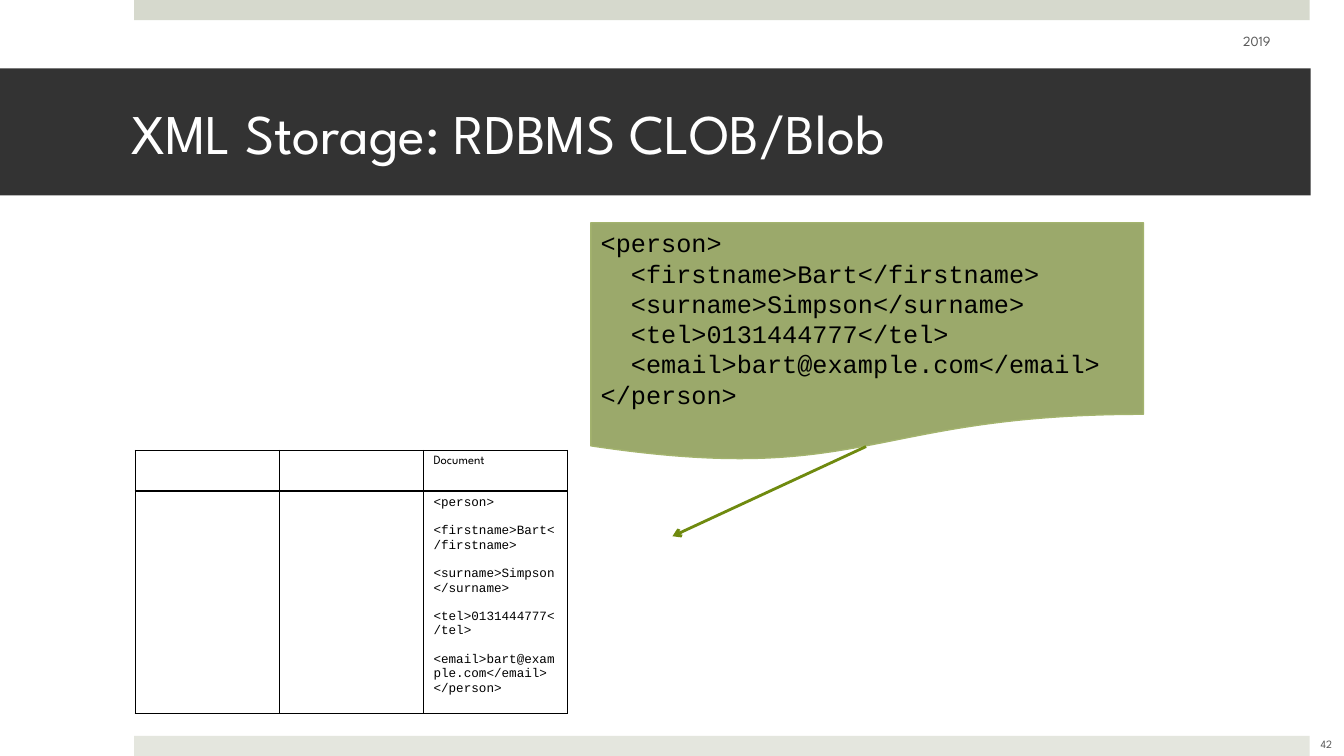
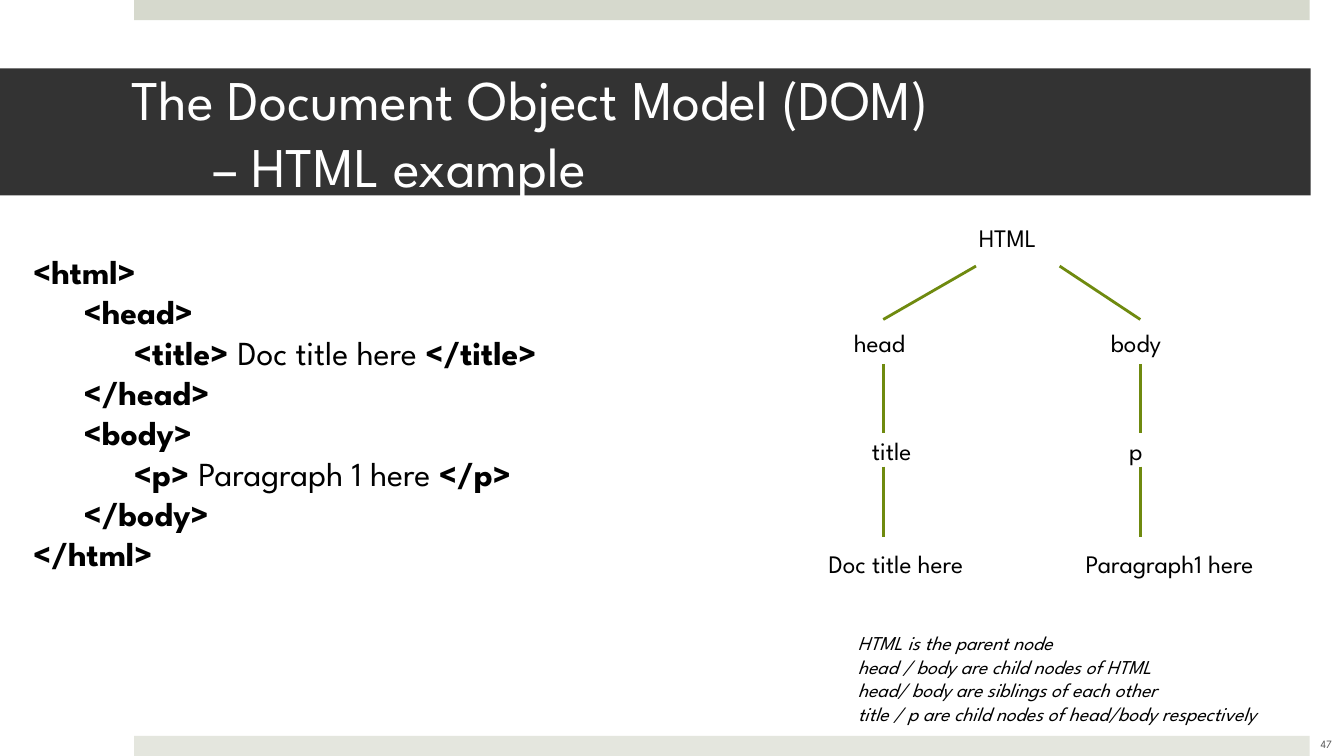
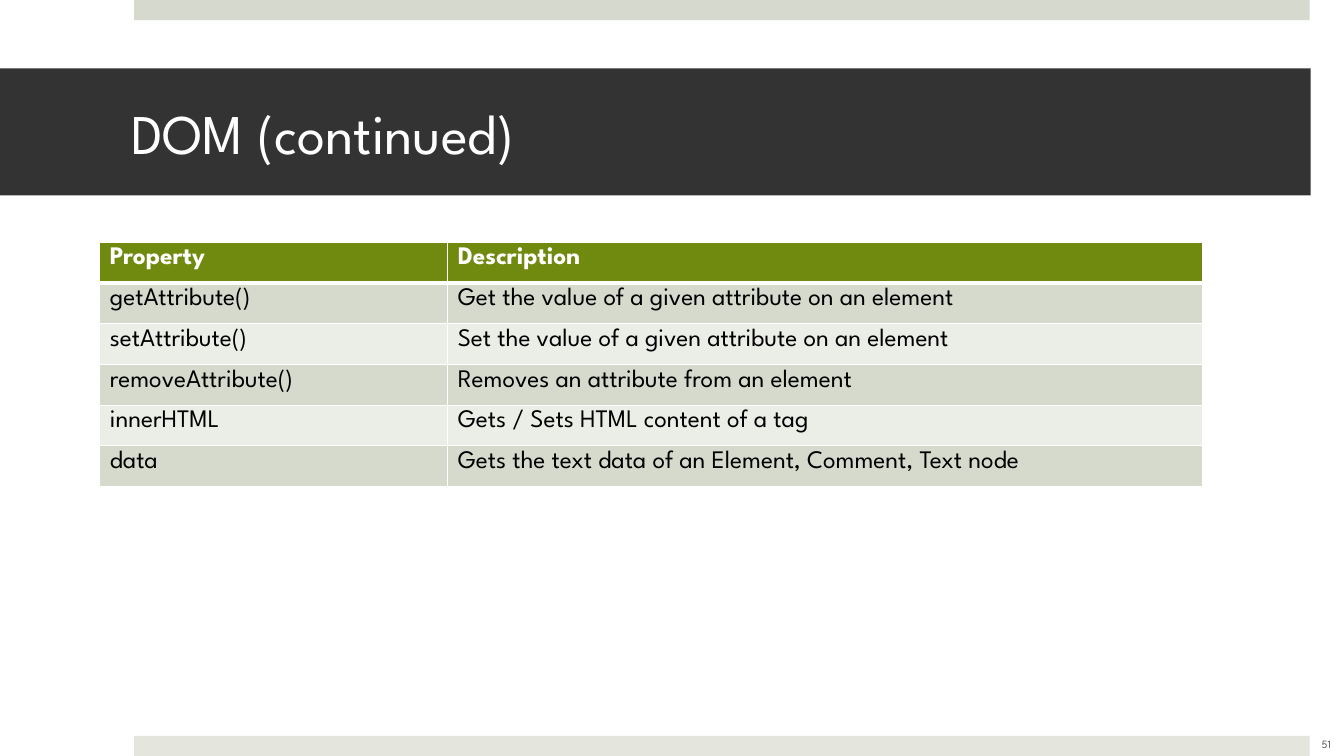
"""Build three lecture slides on XML storage and the Document Object Model."""
from lxml import etree
from pptx import Presentation
from pptx.dml.color import RGBColor
from pptx.enum.shapes import MSO_CONNECTOR, MSO_SHAPE
from pptx.enum.text import MSO_ANCHOR, PP_ALIGN
from pptx.oxml.ns import qn
from pptx.util import Inches, Pt

RECTANGLE, DOCUMENT = MSO_SHAPE.RECTANGLE, MSO_SHAPE.FLOWCHART_DOCUMENT
STRAIGHT = MSO_CONNECTOR.STRAIGHT
MIDDLE = MSO_ANCHOR.MIDDLE
LEFT, CENTER, RIGHT = PP_ALIGN.LEFT, PP_ALIGN.CENTER, PP_ALIGN.RIGHT
SANS, MONO = "League Spartan", "Courier New"
COLORS = {
    "top band": "D6D9CD", "bottom band": "E4E6DE", "title band": "333333",
    "white": "FFFFFF", "ink": "000000", "muted": "595959", "accent": "6F8A0F",
    "document": "9BA96B", "document edge": "A3B36E",
    "odd row": "D5DACC", "even row": "EBEDE7",
}
PALETTE = {part: RGBColor.from_string(code) for part, code in COLORS.items()}


def write(frame, lines, size=18, color="ink", font=SANS, bold=False,
          italic=False, align=LEFT, indents=None):
    """Write lines into a frame; each | in a line switches bold on or off."""
    frame.word_wrap = True
    for number, line in enumerate(lines):
        paragraph = frame.add_paragraph() if number else frame.paragraphs[0]
        paragraph.alignment = align
        if indents:
            margin = Inches(indents[number])
            paragraph._p.get_or_add_pPr().set("marL", str(margin))
        for position, part in enumerate(line.split("|")):
            run = paragraph.add_run()
            run.text = part
            run.font.name = font
            run.font.size = Pt(size)
            run.font.bold = bold != (position % 2 == 1)
            run.font.italic = italic
            run.font.color.rgb = PALETTE[color]


def link(slide, start_x, start_y, end_x, end_y):
    """Draw a straight accent line and return it."""
    line = slide.shapes.add_connector(
        STRAIGHT, Inches(start_x), Inches(start_y), Inches(end_x), Inches(end_y))
    line.line.color.rgb = PALETTE["accent"]
    line.line.width = Pt(2)
    etree.SubElement(line._element.spPr, qn("a:effectLst"))
    return line


deck = Presentation()
deck.slide_width, deck.slide_height = Inches(13.33), Inches(7.5)

headings = [
    (["XML Storage: RDBMS CLOB/Blob"], "42"),
    (["The Document Object Model (DOM)", "– HTML example"], "47"),
    (["DOM (continued)"], "51"),
]
bands = [
    ("top band", 1.33, 0, 11.66, 0.2),
    ("bottom band", 1.33, 7.3, 11.66, 0.2),
    ("title band", 0, 0.68, 13, 1.26),
]
for title, page in headings:
    slide = deck.slides.add_slide(deck.slide_layouts[6])
    for part, *place in bands:
        band = slide.shapes.add_shape(RECTANGLE, *map(Inches, place))
        band.shadow.inherit = False
        band.fill.solid()
        band.fill.fore_color.rgb = PALETTE[part]
        band.line.fill.background()
    heading = band.text_frame
    heading.vertical_anchor = MIDDLE
    heading.margin_left, heading.margin_right = Inches(1.3), Inches(0.3)
    write(heading, title, size=40, color="white", indents=(0, 0.82))
    number = slide.shapes.add_textbox(
        Inches(12.98), Inches(7.18), Inches(0.35), Inches(0.32)).text_frame
    number.margin_left = number.margin_right = 0
    number.margin_top, number.margin_bottom = Inches(0.09), 0
    number.vertical_anchor = MIDDLE
    write(number, [page], size=8, color="muted", align=CENTER)
storage_slide, dom_slide, methods_slide = deck.slides

year = storage_slide.shapes.add_textbox(
    Inches(9.59), Inches(0.21), Inches(3.11), Inches(0.4)).text_frame
year.vertical_anchor = MIDDLE
write(year, ["2019"], size=10, color="muted", align=RIGHT)

person_xml = [
    "<person>",
    "  <firstname>Bart</firstname>",
    "  <surname>Simpson</surname>",
    "  <tel>0131444777</tel>",
    "  <email>bart@example.com</email>",
    "</person>",
]
storage = storage_slide.shapes.add_table(
    2, 3, Inches(1.34), Inches(4.47), Inches(4.29), Inches(2.48)).table
storage.rows[0].height, storage.rows[1].height = Inches(0.4), Inches(2.08)
for cell in storage.iter_cells():
    cell.fill.background()
write(storage.cell(0, 2).text_frame, ["Document"], size=9)
write(storage.cell(1, 2).text_frame, person_xml, size=9, font=MONO)

document = storage_slide.shapes.add_shape(
    DOCUMENT, Inches(5.86), Inches(2.21), Inches(5.48), Inches(2.37))
document.shadow.inherit = False
document.fill.solid()
document.fill.fore_color.rgb = PALETTE["document"]
document.line.color.rgb = PALETTE["document edge"]
document.line.width = Pt(1)
document.text_frame.vertical_anchor = MSO_ANCHOR.TOP
write(document.text_frame, person_xml, font=MONO)
arrow = link(storage_slide, 8.59, 4.43, 6.67, 5.32)
etree.SubElement(arrow.line._get_or_add_ln(), qn("a:tailEnd"), type="arrow")

html_lines = [
    (0, "<html>"),
    (1, "<head>"),
    (2, "<title> |Doc title here |</title>"),
    (1, "</head>"),
    (1, "<body>"),
    (2, "<p> |Paragraph 1 here |</p>"),
    (1, "</body>"),
    (0, "</html>"),
]
html_code = dom_slide.shapes.add_textbox(
    Inches(0.23), Inches(2.44), Inches(5.72), Inches(3.33))
write(html_code.text_frame, [line for _, line in html_lines], size=24, bold=True,
      indents=[level * 0.5 for level, _ in html_lines])

nodes = [("HTML", 9.61, 2.16)]
levels = [(0.39, 3.2), (0.21, 4.27), (0.64, 5.39)]
branches = [
    (9.68, 8.76, ("head", "title", "Doc title here")),
    (10.51, 11.31, ("body", "p", "Paragraph1 here")),
]
for root_x, stem_x, labels in branches:
    link(dom_slide, root_x, 2.64, stem_x, 3.17)
    for top, bottom in ((3.61, 4.3), (4.63, 5.33)):
        link(dom_slide, stem_x, top, stem_x, bottom)
    for label, (offset, top) in zip(labels, levels):
        nodes.append((label, stem_x - offset, top))
for label, left, top in nodes:
    node = dom_slide.shapes.add_textbox(
        Inches(left), Inches(top), Inches(2.16), Inches(0.4))
    write(node.text_frame, [label])

relations = dom_slide.shapes.add_textbox(
    Inches(8.41), Inches(6.21), Inches(4.9), Inches(1.04))
write(relations.text_frame, [
    "HTML is the parent node",
    "head / body are child nodes of HTML",
    "head/ body are siblings of each other",
    "title / p are child nodes of head/body respectively",
], size=14, italic=True)

method_rows = [
    ("Property", "Description"),
    ("getAttribute()", "Get the value of a given attribute on an element"),
    ("setAttribute()", "Set the value of a given attribute on an element"),
    ("removeAttribute()", "Removes an attribute from an element"),
    ("innerHTML", "Gets / Sets HTML content of a tag"),
    ("data", "Gets the text data of an Element, Comment, Text node"),
]
methods = methods_slide.shapes.add_table(
    len(method_rows), 2, Inches(0.99), Inches(2.4), Inches(10.94), Inches(2.43)).table
methods.columns[0].width, methods.columns[1].width = Inches(3.45), Inches(7.49)
for row, texts in enumerate(method_rows):
    header = row == 0
    row_fill = "accent" if header else "odd row" if row % 2 else "even row"
    for column, text in enumerate(texts):
        cell = methods.cell(row, column)
        cell.fill.solid()
        cell.fill.fore_color.rgb = PALETTE[row_fill]
        write(cell.text_frame, [text], color="white" if header else "ink", bold=header)

for table, border, header_rule in ((storage, "ink", 1), (methods, "white", 3)):
    table.first_row = table.horz_banding = False
    for row in range(len(table.rows)):
        edges = {"lnL": 1, "lnR": 1, "lnT": header_rule if row == 1 else 1,
                 "lnB": header_rule if row == 0 else 1}
        for column in range(len(table.columns)):
            properties = table.cell(row, column)._tc.get_or_add_tcPr()
            for position, (edge, width) in enumerate(edges.items()):
                rule = etree.Element(qn(f"a:{edge}"), w=str(Pt(width)))
                paint = etree.SubElement(rule, qn("a:solidFill"))
                etree.SubElement(paint, qn("a:srgbClr"), val=COLORS[border])
                properties.insert(position, rule)

deck.save("out.pptx")
